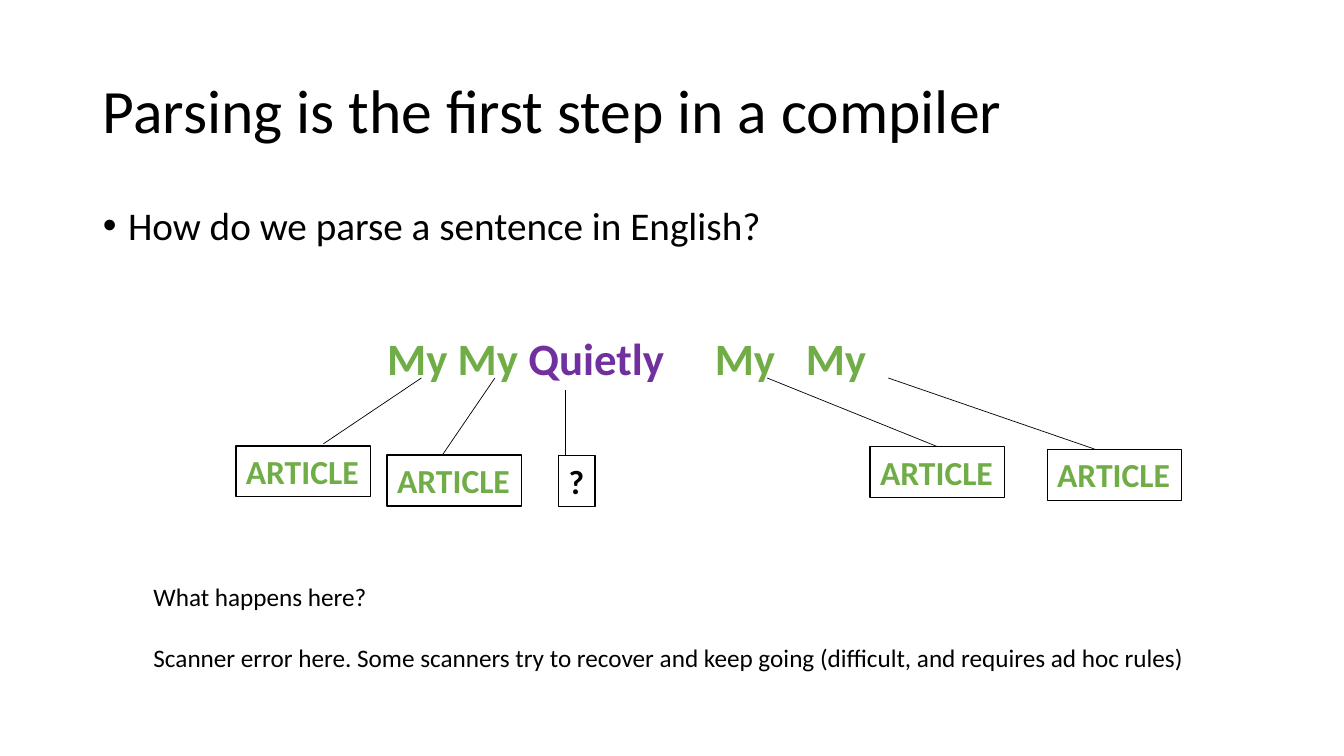
"""Build a slide on parsing a broken English sentence, word by word."""
from lxml import etree
from pptx import Presentation
from pptx import util as u
from pptx.dml import color
from pptx.enum import shapes, text
from pptx.oxml import ns

Pt = u.Pt
THEME = {
    "font": "Calibri",
    "black": color.RGBColor(0x00, 0x00, 0x00),
    "white": color.RGBColor(0xFF, 0xFF, 0xFF),
    "green": color.RGBColor(0x70, 0xAD, 0x47),
    "purple": color.RGBColor(0x70, 0x30, 0xA0),
    "title": Pt(44),
    "body": Pt(28),
    "sentence": Pt(32),
    "label": Pt(24),
    "note": Pt(18),
}


def add_text(p, words, size, ink="black", bold=False):
    r = p.add_run()
    r.text = words
    for name, value in {"name": THEME["font"], "size": THEME[size], "bold": bold}.items():
        setattr(r.font, name, value)
    r.font.color.rgb = THEME[ink]


def set_frame(sp, **values):
    tf = sp.text_frame
    for name, value in {"auto_size": text.MSO_AUTO_SIZE.NONE, **values}.items():
        setattr(tf, name, value)
    return tf


prs = Presentation()
prs.slide_width, prs.slide_height = Pt(960), Pt(540)
s = prs.slides.add_slide(prs.slide_layouts[1])

title, body = s.placeholders
for sp, top, height, words, size in (
    (title, 28.8, 104.4, "Parsing is the first step in a compiler", "title"),
    (body, 144, 50.4, "How do we parse a sentence in English?", "body"),
):
    sp.left, sp.top, sp.width, sp.height = Pt(66.24), Pt(top), Pt(828), Pt(height)
    p = set_frame(sp, word_wrap=True).paragraphs[0]
    for name, value in {"alignment": text.PP_ALIGN.LEFT, "line_spacing": 0.9}.items():
        setattr(p, name, value)
    add_text(p, words, size)
title.text_frame.vertical_anchor = text.MSO_ANCHOR.MIDDLE
p.space_before = Pt(10)
pPr = p._p.get_or_add_pPr()
pPr.set("marL", str(Pt(18)))
pPr.set("indent", str(-Pt(18)))
etree.SubElement(pPr, ns.qn("a:buFont")).set("typeface", "Arial")
etree.SubElement(pPr, ns.qn("a:buChar")).set("char", "•")

sp = s.shapes.add_textbox(Pt(269.5), Pt(232.5), Pt(360), Pt(46))
p = set_frame(sp, word_wrap=True).paragraphs[0]
tabs = etree.SubElement(p._p.get_or_add_pPr(), ns.qn("a:tabLst"))
for stop in (234, 299):
    tab = etree.SubElement(tabs, ns.qn("a:tab"))
    tab.set("pos", str(Pt(stop)))
    tab.set("algn", "l")
for words, ink in (("My My ", "green"), ("Quietly", "purple"), ("\tMy\tMy", "green")):
    add_text(p, words, "sentence", ink, True)

LABELS = (
    ("ARTICLE", "green", 168.5, 318.5, 96, (301, 270), (231, 317)),
    ("ARTICLE", "green", 276.5, 325, 96, (353.5, 270), (316, 325)),
    ("?", "black", 399, 325.5, 26, (404, 278.5), (404, 325)),
    ("ARTICLE", "green", 621.5, 319, 96, (548, 270), None),
    ("ARTICLE", "green", 748, 321, 96, (634.5, 270), (782.5, 321)),
)
for words, ink, left, top, width, start, end in LABELS:
    sp = s.shapes.add_shape(shapes.MSO_SHAPE.RECTANGLE, Pt(left), Pt(top), Pt(width), Pt(36.4))
    sp.shadow.inherit = False
    sp.fill.solid()
    sp.fill.fore_color.rgb = THEME["white"]
    sp.line.color.rgb = THEME["black"]
    sp.line.width = Pt(1)
    p = set_frame(sp, word_wrap=False, vertical_anchor=text.MSO_ANCHOR.TOP).paragraphs[0]
    p.alignment = text.PP_ALIGN.LEFT
    add_text(p, words, "label", ink, True)

    points = [Pt(value) for value in start + (end or start)]
    line = s.shapes.add_connector(shapes.MSO_CONNECTOR.STRAIGHT, *points)
    if end is None:
        line.end_connect(sp, 0)
    line.line.color.rgb = THEME["black"]
    line.line.width = Pt(0.5)
    etree.SubElement(line._element.spPr, ns.qn("a:effectLst"))

sp = s.shapes.add_textbox(Pt(102.5), Pt(412), Pt(752.5), Pt(72.7))
tf = set_frame(sp, word_wrap=False)
add_text(tf.paragraphs[0], "What happens here?", "note")
p = tf.add_paragraph()
p.space_before = Pt(22)
add_text(
    p,
    "Scanner error here. Some scanners try to recover and keep going "
    "(difficult, and requires ad hoc rules)",
    "note",
)

prs.save("out.pptx")
